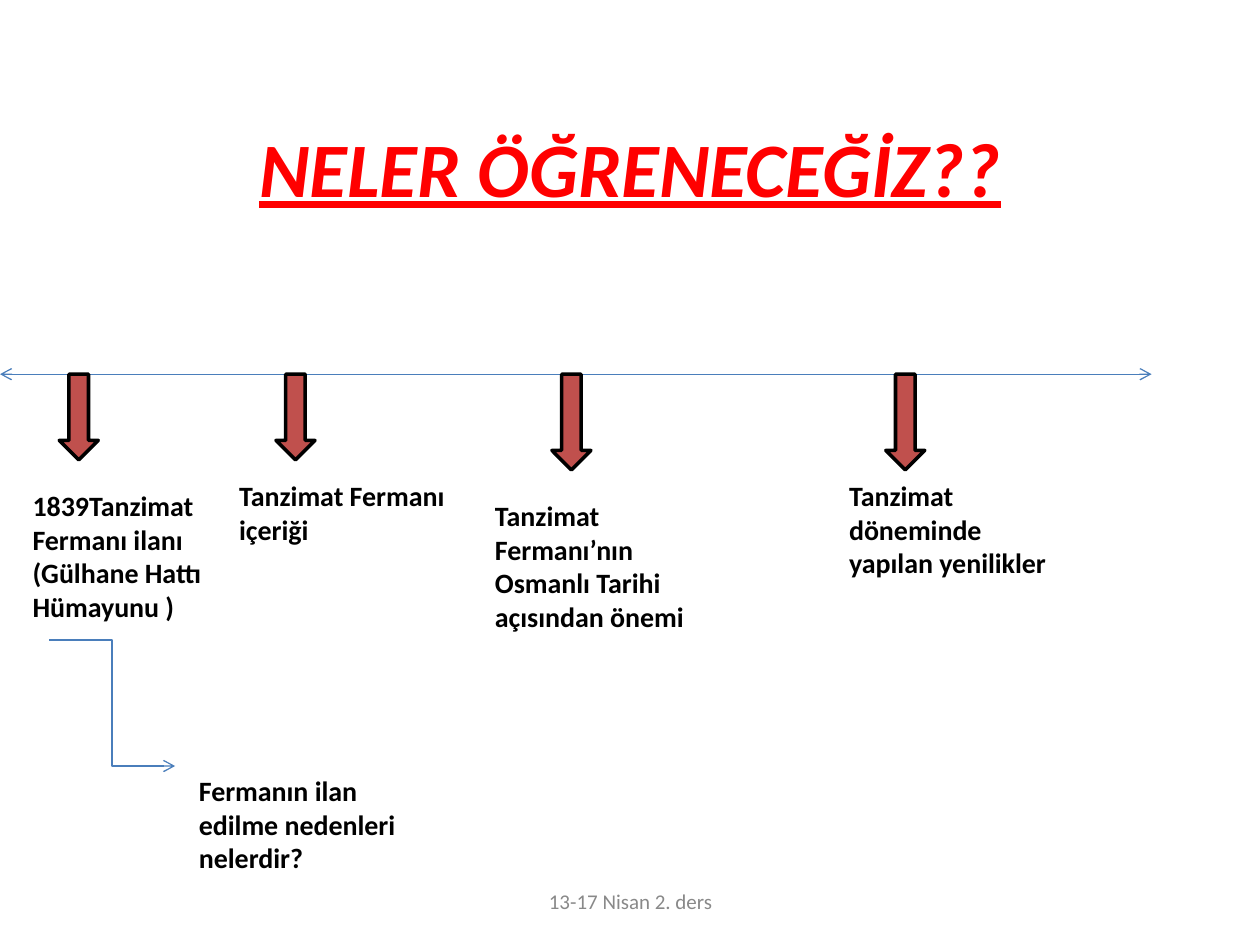
"""Build the lesson-goals timeline slide on the Tanzimat edict."""
from lxml import etree
from pptx import Presentation
from pptx.dml.color import RGBColor
from pptx.enum.shapes import MSO_CONNECTOR, MSO_SHAPE
from pptx.enum.text import MSO_ANCHOR, MSO_AUTO_SIZE, PP_ALIGN
from pptx.oxml.ns import qn
from pptx.util import Inches, Pt

STRAIGHT, ELBOW = MSO_CONNECTOR.STRAIGHT, MSO_CONNECTOR.ELBOW
DOWN_ARROW = MSO_SHAPE.DOWN_ARROW
MIDDLE, CENTER, LEFT = MSO_ANCHOR.MIDDLE, PP_ALIGN.CENTER, PP_ALIGN.LEFT
NO_FIT = MSO_AUTO_SIZE.NONE

FONT = "Calibri"
COLORS = {"title": "FF0000", "text": "000000", "footer": "898989",
          "axis": "4A7EBB", "marker": "C0504D", "outline": "000000"}

TITLE = "NELER ÖĞRENECEĞİZ??"
FOOTER = "13-17 Nisan 2. ders"
AXIS_Y, AXIS_END = 2.97, 9.14
MARKER_WIDTH = 0.31
MILESTONES = [
    {"marker": (0.47, 0.68), "label": (0.16, 3.83, 1.72, 1.44),
     "topic": "1839Tanzimat Fermanı ilanı (Gülhane Hattı Hümayunu )"},
    {"marker": (2.19, 0.68), "label": (1.8, 3.75, 2.03, 0.64),
     "topic": "Tanzimat Fermanı içeriği"},
    {"marker": (4.38, 0.76), "label": (3.83, 3.91, 1.95, 1.17),
     "topic": "Tanzimat Fermanı’nın Osmanlı Tarihi açısından önemi"},
    {"marker": (7.03, 0.76), "label": (6.64, 3.75, 1.88, 0.9),
     "topic": "Tanzimat döneminde yapılan yenilikler"},
]
QUESTION = "Fermanın ilan edilme nedenleri nelerdir?"
QUESTION_BOX = (1.48, 6.09, 1.95, 0.9)
QUESTION_LINK = (0.39, 5.08, 1.39, 6.08)


def inches(values):
    return [Inches(value) for value in values]


def color(role):
    return RGBColor.from_string(COLORS[role])


def write(frame, text, size, role, align=LEFT, bold=False):
    frame.word_wrap = True
    paragraph = frame.paragraphs[0]
    paragraph.text = text
    paragraph.alignment = align
    font = paragraph.font
    font.name, font.size, font.bold = FONT, Pt(size), bold
    font.color.rgb = color(role)
    return font


def add_label(slide, box, text):
    frame = slide.shapes.add_textbox(*inches(box)).text_frame
    write(frame, text, 16, "text", bold=True)


def add_marker(slide, left, height):
    marker = slide.shapes.add_shape(
        DOWN_ARROW, *inches((left, AXIS_Y, MARKER_WIDTH, height)))
    marker.shadow.inherit = False
    marker.fill.solid()
    marker.fill.fore_color.rgb = color("marker")
    marker.line.color.rgb = color("outline")
    marker.line.width = Pt(2)


def add_arrow(slide, kind, ends, heads):
    arrow = slide.shapes.add_connector(kind, *inches(ends))
    arrow.line.color.rgb = color("axis")
    arrow.line.width = Pt(0.75)
    outline = arrow.line._get_or_add_ln()
    for head in heads:
        etree.SubElement(outline, qn(f"a:{head}"), type="arrow")
    etree.SubElement(arrow._element.spPr, qn("a:effectLst"))


def main():
    prs = Presentation()
    prs.slide_width, prs.slide_height = inches((10, 7.5))
    slide = prs.slides.add_slide(prs.slide_layouts[5])

    title = slide.shapes.title
    title.left, title.top, title.width, title.height = inches((0.5, 0.3, 9, 2.04))
    title.text_frame.vertical_anchor = MIDDLE
    title.text_frame.auto_size = NO_FIT
    title_font = write(title.text_frame, TITLE, 44, "title", CENTER, bold=True)
    title_font.italic = title_font.underline = True

    add_arrow(slide, STRAIGHT, (0, AXIS_Y, AXIS_END, AXIS_Y), ("headEnd", "tailEnd"))
    for milestone in MILESTONES:
        add_marker(slide, *milestone["marker"])
        add_label(slide, milestone["label"], milestone["topic"])

    add_arrow(slide, ELBOW, QUESTION_LINK, ("tailEnd",))
    add_label(slide, QUESTION_BOX, QUESTION)

    footer = slide.shapes.add_textbox(*inches((3.42, 6.95, 3.17, 0.4))).text_frame
    footer.vertical_anchor = MIDDLE
    write(footer, FOOTER, 12, "footer", CENTER)

    prs.save("out.pptx")


if __name__ == "__main__":
    main()
